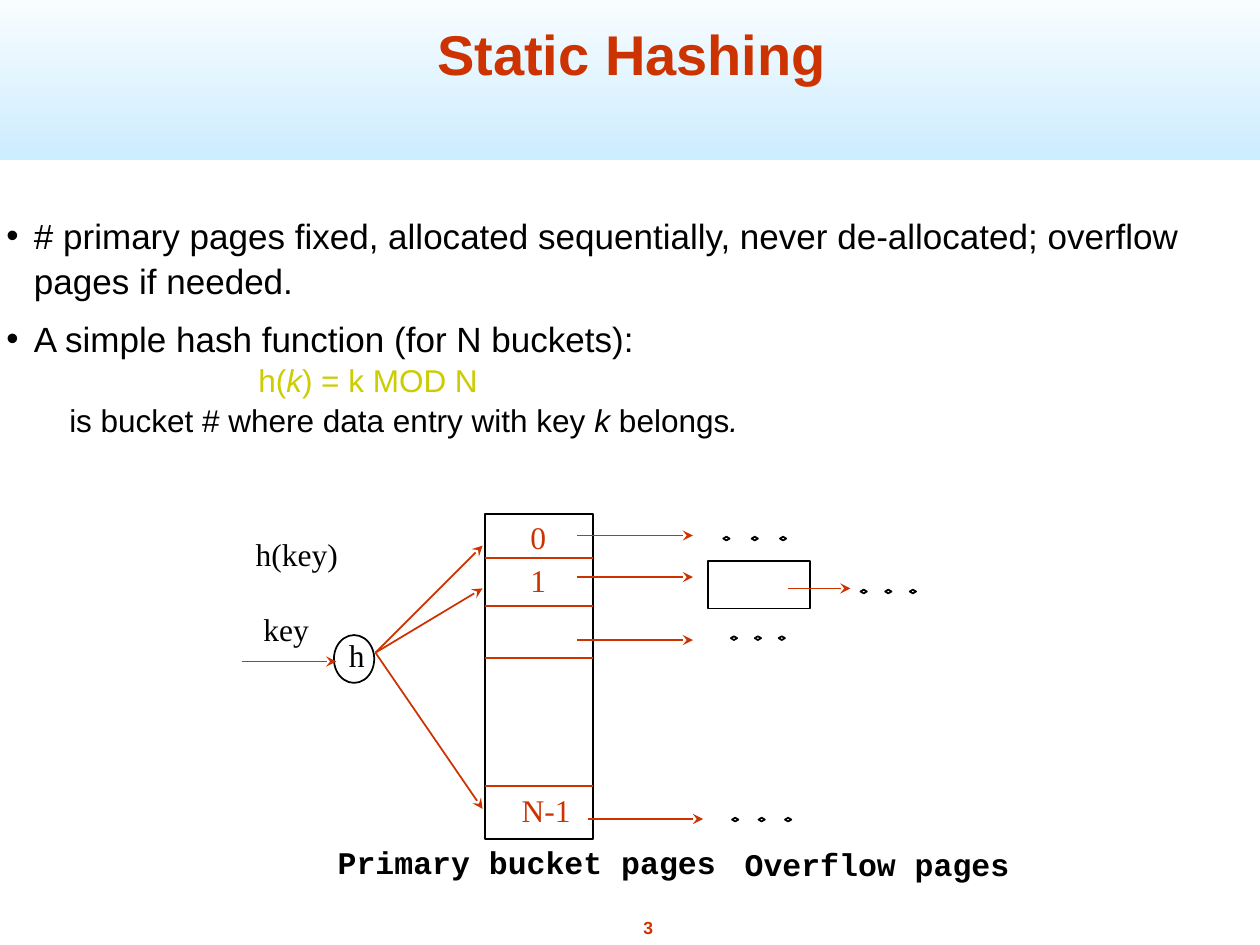
"""Build the Static Hashing slide: two bullets over a bucket diagram."""
from lxml import etree
from pptx import Presentation, util as u
from pptx.dml.color import RGBColor
from pptx.enum import shapes as sh, text as tx
from pptx.oxml.ns import qn

THEME = {
    "red": "CC3300", "gold": "CCCC00", "ink": "000000",
    "sky": "CCECFF", "white": "FFFFFF",
    "sans": "Arial", "serif": "Times New Roman", "mono": "Courier New",
    "title": 32, "body": 20, "label": 18, "page": 10,
}
WIDE, HIGH = 10, 7.5
PAD = 0.05
TITLE = "Static Hashing"
BODY = [
    {"runs": [("# primary pages fixed, allocated sequentially, never de-allocated; "
               "overflow pages if needed.", False)]},
    {"runs": [("A simple hash function (for N buckets):", False)], "gap": 8},
    {"runs": [("h(", False), ("k", True), (") = k MOD N", False)],
     "tone": "gold", "dent": 2},
    {"runs": [("is bucket # where data entry with key", False), (" k ", True),
              ("belongs", False), (".", True)], "tone": "ink", "dent": 0.5},
]

LEFT, RIGHT = 3.85, 4.71
ROWS = [4.08, 4.43, 4.81, 5.22, 6.24, 6.66]
HUB = (2.98, 5.18)
TIP = 3.83
OVER = (5.62, 4.45, 0.81, 0.38)
HASH = (2.65, 5.04, 0.32, 0.38)
AIMS = [4.33, 4.67, 6.42]
LINKS = [(1.92, 2.67, 5.25), (4.58, 5.5, 4.25), (4.58, 5.5, 4.58),
         (4.58, 5.5, 5.08), (4.67, 5.58, 6.5), (6.25, 6.75, 4.67)]
DOTS = [(5.74, 4.26, 0.225), (6.83, 4.68, 0.195),
        (5.8, 5.05, 0.19), (5.81, 6.49, 0.21)]
LABELS = [
    ("h(key)", 1.98, 4.2, 0.77, "serif", "ink"),
    ("h", 2.72, 5, 0.24, "serif", "ink"),
    ("key", 2.04, 4.79, 0.48, "serif", "ink"),
    ("0", 4.16, 4.06, 0.24, "serif", "red"),
    ("1", 4.16, 4.4, 0.24, "serif", "red"),
    ("N-1", 4.09, 6.23, 0.5, "serif", "red"),
    ("Primary bucket pages", 2.63, 6.64, 3.12, "mono", "ink"),
    ("Overflow pages", 5.86, 6.66, 2.21, "mono", "ink"),
]


def tint(name):
    return RGBColor.from_string(THEME[name])


def place(box, spot):
    for key, val in zip(("left", "top", "width", "height"), spot):
        setattr(box, key, u.Inches(val))


def style(font, face, size, tone, **more):
    for key, val in {"name": THEME[face], "size": u.Pt(THEME[size]), **more}.items():
        setattr(font, key, val)
    font.color.rgb = tint(tone)


def frame(box, **more):
    sides = ("margin_left", "margin_top", "margin_right", "margin_bottom")
    for key, val in {**dict.fromkeys(sides, u.Inches(PAD)), **more}.items():
        setattr(box.text_frame, key, val)
    return box.text_frame


def label(slide, words, spot, face, size, tone, align=tx.PP_ALIGN.LEFT, **more):
    box = slide.shapes.add_textbox(*map(u.Inches, spot))
    area = frame(box, word_wrap=False, auto_size=tx.MSO_AUTO_SIZE.SHAPE_TO_FIT_TEXT)
    para = area.paragraphs[0]
    para.text, para.alignment = words, align
    style(para.font, face, size, tone, **more)


def form(slide, kind, spot):
    item = slide.shapes.add_shape(kind, *map(u.Inches, spot))
    item.shadow.inherit = False
    item.fill.background()
    item.line.color.rgb = tint("ink")
    item.line.width = u.Pt(1)
    return item


def line(slide, start, end, arrow=True):
    item = slide.shapes.add_connector(
        sh.MSO_CONNECTOR.STRAIGHT, *map(u.Inches, (*start, *end)))
    item.line.color.rgb = tint("red")
    item.line.width = u.Pt(1)
    if arrow:
        etree.SubElement(item.line._get_or_add_ln(), qn("a:tailEnd"), type="stealth")
    etree.SubElement(item._element.spPr, qn("a:effectLst"))


def head(slide):
    band = slide.shapes.add_shape(
        sh.MSO_SHAPE.RECTANGLE, *map(u.Inches, (0, -0.17, WIDE, 1.44)))
    band.shadow.inherit = False
    band.line.fill.background()
    band.fill.gradient()
    band.fill.gradient_angle = 90
    for stop, tone, pos in zip(band.fill.gradient_stops, ("sky", "white"), (0, 1)):
        stop.color.rgb, stop.position = tint(tone), pos
    slide.shapes._spTree.insert(2, band._element)

    title = slide.shapes.title
    place(title, (0.6, 0.07, 8.83, 0.67))
    area = frame(title, vertical_anchor=tx.MSO_ANCHOR.BOTTOM, word_wrap=True,
                 auto_size=tx.MSO_AUTO_SIZE.NONE)
    para = area.paragraphs[0]
    para.text, para.alignment = TITLE, tx.PP_ALIGN.CENTER
    style(para.font, "sans", "title", "red", bold=True)


def body(slide):
    box = slide.shapes.add_textbox(*map(u.Inches, (0, 1.64, WIDE, 2.92)))
    area = frame(box, word_wrap=True)
    for num, item in enumerate(BODY):
        para = area.add_paragraph() if num else area.paragraphs[0]
        props = para._p.get_or_add_pPr()
        dent = item.get("dent")
        hang = 0 if dent else 0.22
        props.set("marL", str(u.Inches(hang)))
        props.set("indent", str(u.Inches(dent or -hang)))
        para.line_spacing = 1.05
        para.space_before = u.Pt(item.get("gap", 0))
        if not dent:
            etree.SubElement(props, qn("a:buFont"), typeface=THEME["sans"])
            etree.SubElement(props, qn("a:buChar"), char="•")
        for words, slant in item["runs"]:
            run = para.add_run()
            run.text = words
            style(run.font, "sans", "label" if dent else "body",
                  item.get("tone", "ink"), italic=slant)


def chart(slide):
    form(slide, sh.MSO_SHAPE.RECTANGLE, OVER)
    form(slide, sh.MSO_SHAPE.OVAL, HASH)
    form(slide, sh.MSO_SHAPE.RECTANGLE,
         (LEFT, ROWS[0], RIGHT - LEFT, ROWS[-1] - ROWS[0]))
    for left, top, step in DOTS:
        for num in range(3):
            form(slide, sh.MSO_SHAPE.DIAMOND, (left + num * step, top, 0.05, 0.03))
    for words, left, top, wide, face, tone in LABELS:
        label(slide, words, (left, top, wide, 0.38), face, "label", tone,
              bold=face == "mono")
    for aim in AIMS:
        line(slide, HUB, (TIP, aim))
    for start, end, row in LINKS:
        line(slide, (start, row), (end, row))
    for row in ROWS[1:-1]:
        line(slide, (LEFT, row), (RIGHT, row), arrow=False)


def main():
    deck = Presentation()
    deck.slide_width, deck.slide_height = u.Inches(WIDE), u.Inches(HIGH)
    slide = deck.slides.add_slide(deck.slide_layouts[5])
    head(slide)
    body(slide)
    chart(slide)
    label(slide, "3", (5.05, 7.23, 0.19, 0.27), "sans", "page", "red",
          align=tx.PP_ALIGN.CENTER, bold=True)
    deck.save("out.pptx")


if __name__ == "__main__":
    main()
